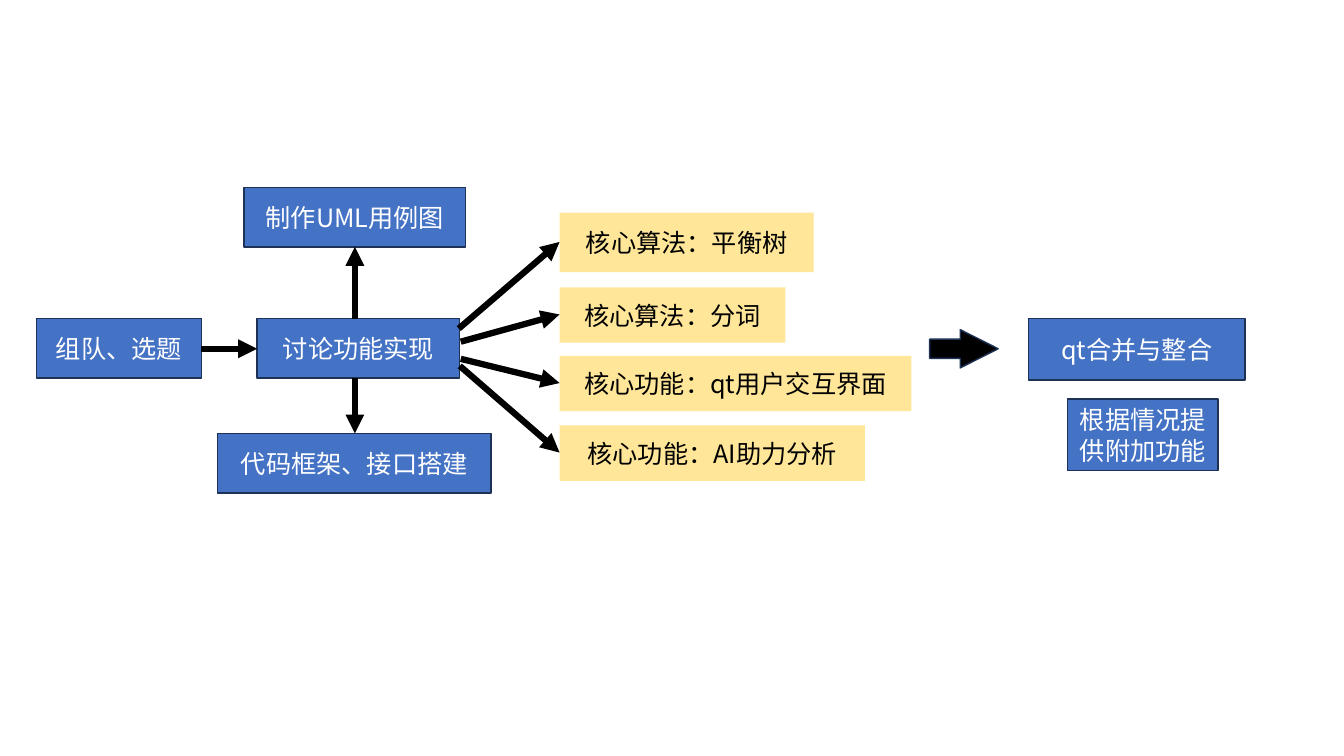
from lxml import etree
from pptx import Presentation
from pptx.dml.color import RGBColor
from pptx.enum.shapes import MSO_CONNECTOR as Connector, MSO_SHAPE as Shape
from pptx.enum.text import MSO_ANCHOR as Anchor, PP_ALIGN as Align
from pptx.oxml.ns import qn
from pptx.util import Pt

PX = 9144
FONT = "Noto Sans CJK SC"
BLUE, NAVY, YELLOW = "4472C4", "1E3256", "FFE699"
BLACK, WHITE = "000000", "FFFFFF"

STEPS = [
    ("组队、选题", 36, 316, 164, 59),
    ("讨论功能实现", 255, 316, 201, 59),
    ("制作UML用例图", 242, 186, 220, 59),
    ("代码框架、接口搭建", 216, 430, 271, 59),
    ("qt合并与整合", 1020, 316, 215, 61),
    ("根据情况提供附加功能", 1059, 396, 149, 71),
]
CORE_LEFT = 555
CORES = [
    ("核心算法：平衡树", 211, 252, 59, (455, 326)),
    ("核心算法：分词", 285, 224, 55, (457, 339)),
    ("核心功能：qt用户交互界面", 353, 349, 55, (457, 356)),
    ("核心功能：AI助力分析", 422, 303, 55, (456, 363)),
]
STEP_ARROWS = [
    ((199, 346), (255, 346)),
    ((352, 316), (352, 245)),
    ((352, 375), (352, 430)),
]


def color(value):
    return RGBColor.from_string(value)


def add_block(slide, kind, left, top, width, height, fill, outline=None):
    shape = slide.shapes.add_shape(kind, left * PX, top * PX, width * PX, height * PX)
    shape.shadow.inherit = False
    shape.fill.solid()
    shape.fill.fore_color.rgb = color(fill)
    if outline:
        shape.line.color.rgb = color(outline)
        shape.line.width = Pt(1)
    else:
        shape.line.fill.background()
    return shape


def add_label(shape, text, text_color):
    frame = shape.text_frame
    frame.word_wrap = True
    frame.vertical_anchor = Anchor.MIDDLE
    paragraph = frame.paragraphs[0]
    paragraph.text = text
    paragraph.alignment = Align.CENTER
    font = paragraph.font
    font.size = Pt(18)
    font.color.rgb = color(text_color)
    font.name = FONT
    properties = paragraph._p.pPr.find(qn("a:defRPr"))
    etree.SubElement(properties, qn("a:ea"), typeface=FONT)


def add_arrow(slide, start, end):
    points = [value * PX for value in (*start, *end)]
    connector = slide.shapes.add_connector(Connector.STRAIGHT, *points)
    connector.line.color.rgb = color(BLACK)
    connector.line.width = Pt(4.5)
    properties = connector._element.spPr
    etree.SubElement(properties.find(qn("a:ln")), qn("a:tailEnd"), type="triangle")
    etree.SubElement(properties, qn("a:effectLst"))


def main():
    presentation = Presentation()
    presentation.slide_width = 1333 * PX
    presentation.slide_height = 750 * PX
    slide = presentation.slides.add_slide(presentation.slide_layouts[6])

    for text, left, top, width, height in STEPS:
        step = add_block(slide, Shape.RECTANGLE, left, top, width, height, BLUE, NAVY)
        add_label(step, text, WHITE)
    for start, end in STEP_ARROWS:
        add_arrow(slide, start, end)

    for text, top, width, height, start in CORES:
        core = add_block(slide, Shape.RECTANGLE, CORE_LEFT, top, width, height, YELLOW)
        add_label(core, text, BLACK)
        add_arrow(slide, start, (CORE_LEFT, top + height // 2))

    merge_arrow = add_block(slide, Shape.RIGHT_ARROW, 922, 327, 68, 38, BLACK, NAVY)
    merge_arrow.adjustments[1] = 0.99

    presentation.save("out.pptx")


if __name__ == "__main__":
    main()
